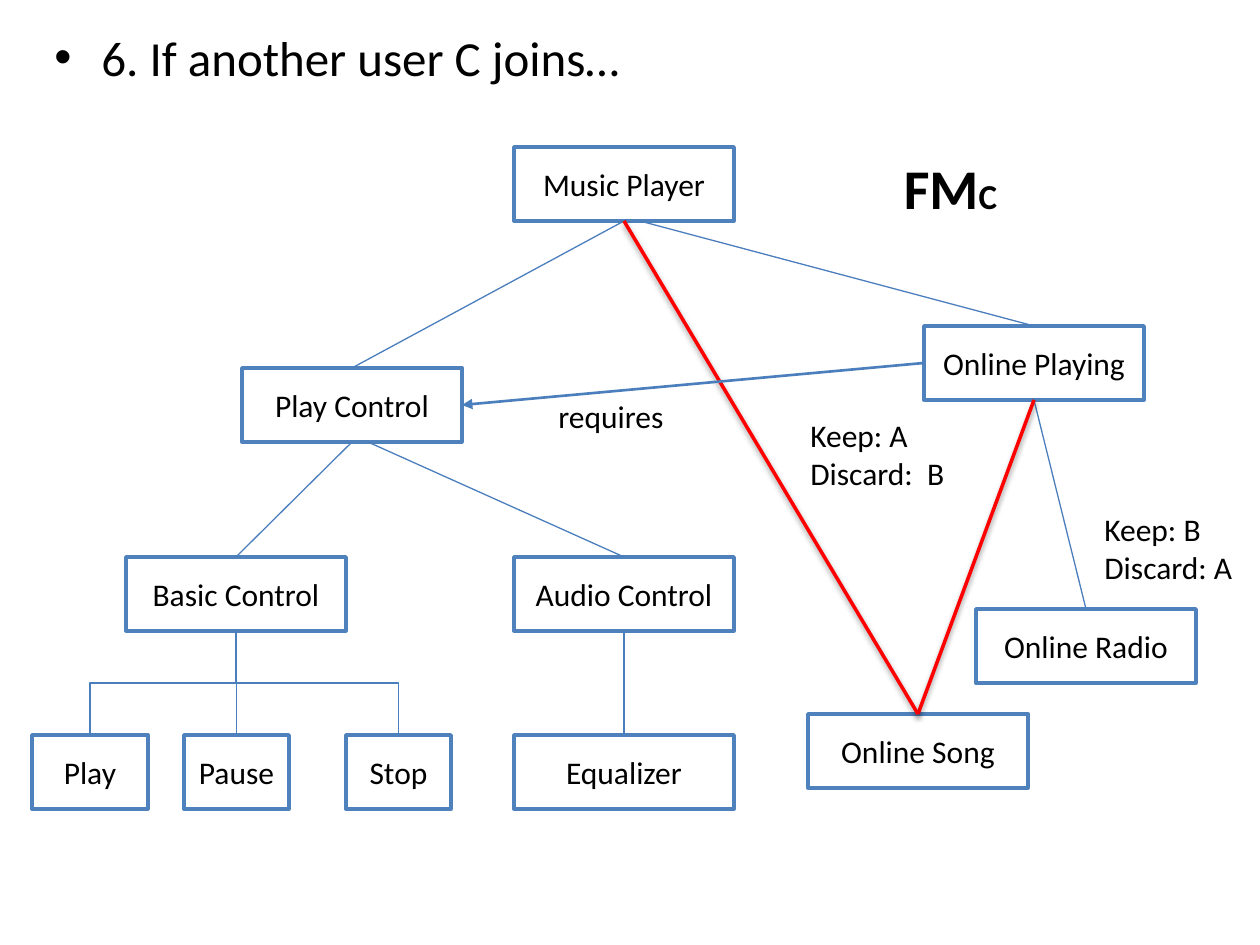
from lxml import etree
from pptx import Presentation
from pptx.dml.color import RGBColor
from pptx.enum.shapes import MSO_CONNECTOR, MSO_SHAPE
from pptx.enum.text import MSO_ANCHOR, PP_ALIGN
from pptx.oxml import parse_xml
from pptx.oxml.ns import nsdecls, qn
from pptx.util import Pt

PX = 914400 / 126
FONT = "Calibri"
BLACK, WHITE, BORDER, LINE, RED = "000000", "FFFFFF", "4F81BD", "4B7EBC", "FF0000"
BOX_W, BOX_H = 220, 74
TOP, LEFT, BOTTOM, RIGHT = range(4)  # connection sites of a rectangle

# name: left, top, width
FEATURES = {
    "Music Player": (514, 147, BOX_W),
    "Play Control": (242, 368, BOX_W),
    "Online Playing": (924, 326, BOX_W),
    "Basic Control": (126, 557, BOX_W),
    "Audio Control": (514, 557, BOX_W),
    "Online Radio": (976, 609, BOX_W),
    "Online Song": (808, 714, BOX_W),
    "Play": (32, 735, 116),
    "Pause": (184, 735, 105),
    "Stop": (346, 735, 105),
    "Equalizer": (514, 735, BOX_W),
}
# parent, child, shift of the start to the right
BRANCHES = [
    ("Music Player", "Play Control", 0),
    ("Music Player", "Online Playing", 16),
    ("Play Control", "Basic Control", 0),
    ("Play Control", "Audio Control", 16),
    ("Audio Control", "Equalizer", 0),
    ("Online Playing", "Online Radio", 0),
]
ELBOWS = [("Basic Control", leaf) for leaf in ("Play", "Pause", "Stop")]
CONFLICTS = [("Online Playing", "Online Song"), ("Music Player", "Online Song")]

# left, top, width, height, wrap, paragraphs of (text, size, bold) runs
TITLE = (42, 21, 1166, 179, True, [[("6. If another user C joins…", 28, False)]])
LABELS = [
    (882, 147, 325, 81, True, [[(" ", 24, True), ("FM", 32, True), ("C", 20, True)]]),
    (546, 391, 132, 50, False, [[("requires", 18, False)]]),
    (798, 410, 189, 89, True, [[("Keep: A", 18, False)], [("Discard:  B", 18, False)]]),
    (1092, 504, 168, 89, True, [[("Keep: B", 18, False)], [("Discard: A", 18, False)]]),
]


def emu(px):
    return round(px * PX)


def rgb(color):
    return RGBColor.from_string(color)


def style_run(r, size, bold=False):
    r.font.name, r.font.size, r.font.bold = FONT, Pt(size), bold
    r.font.color.rgb = rgb(BLACK)


def add_text(left, top, width, height, wrap, paragraphs):
    tf = slide.shapes.add_textbox(*map(emu, (left, top, width, height))).text_frame
    tf.word_wrap = wrap
    for i, runs in enumerate(paragraphs):
        p = tf.add_paragraph() if i else tf.paragraphs[0]
        for text, size, bold in runs:
            r = p.add_run()
            r.text = text
            style_run(r, size, bold)
    return tf


def add_bullet(p, indent):
    pPr = p._p.get_or_add_pPr()
    pPr.set("marL", str(emu(indent)))
    pPr.set("indent", str(-emu(indent)))
    before = etree.SubElement(pPr, qn("a:spcBef"))
    etree.SubElement(before, qn("a:spcPct"), val="20000")
    etree.SubElement(pPr, qn("a:buFont"), typeface="Arial")
    etree.SubElement(pPr, qn("a:buChar"), char="•")


def add_box(name, left, top, width):
    sp = slide.shapes.add_shape(MSO_SHAPE.RECTANGLE, *map(emu, (left, top, width, BOX_H)))
    sp.shadow.inherit = False
    sp.fill.solid()
    sp.fill.fore_color.rgb = rgb(WHITE)
    sp.line.color.rgb = rgb(BORDER)
    sp.line.width = Pt(2)
    tf = sp.text_frame
    tf.text = name
    tf.vertical_anchor = MSO_ANCHOR.MIDDLE
    tf.paragraphs[0].alignment = PP_ALIGN.CENTER
    style_run(tf.paragraphs[0].runs[0], 18)
    return sp


def add_line(kind, x1, y1, x2, y2, color=LINE, weight=0.75, arrow=False, shadow=""):
    c = slide.shapes.add_connector(kind, x1, y1, x2, y2)
    c.line.color.rgb = rgb(color)
    c.line.width = Pt(weight)
    if arrow:
        etree.SubElement(c.line._get_or_add_ln(), qn("a:tailEnd"), type="triangle")
    c._element.spPr.append(parse_xml(f"<a:effectLst {nsdecls('a')}>{shadow}</a:effectLst>"))
    return c


def bottom_of(sp):
    return sp.left + sp.width // 2, sp.top + sp.height


def top_of(sp):
    return sp.left + sp.width // 2, sp.top


def link(start, end, sites=(BOTTOM, TOP), **style):
    """Straight connector glued to both boxes."""
    c = add_line(MSO_CONNECTOR.STRAIGHT, 0, 0, 0, 0, **style)
    c.begin_connect(start, sites[0])
    c.end_connect(end, sites[1])


def elbow(start, end):
    """Down, across, down: a horizontal elbow turned by a quarter."""
    (x1, y1), (x2, y2) = bottom_of(start), top_of(end)
    cx, cy = (x1 + x2) // 2, (y1 + y2) // 2
    half_w, half_h = (y2 - y1) // 2, abs(x2 - x1) // 2
    c = add_line(MSO_CONNECTOR.ELBOW, cx - half_w, cy - half_h, cx + half_w, cy + half_h)
    xfrm = c._element.spPr.find(qn("a:xfrm"))
    if x2 > x1:
        xfrm.set("flipH", "1")
    xfrm.set("rot", str((270 if x2 > x1 else 90) * 60000))


SHADOW = ('<a:outerShdw blurRad="40000" dist="20000" dir="5400000" rotWithShape="0">'
          f'<a:srgbClr val="{BLACK}"><a:alpha val="38000"/></a:srgbClr></a:outerShdw>')

prs = Presentation()
prs.slide_width, prs.slide_height = emu(1260), emu(945)
slide = prs.slides.add_slide(prs.slide_layouts[6])

add_bullet(add_text(*TITLE).paragraphs[0], 47)
boxes = {name: add_box(name, *place) for name, place in FEATURES.items()}

for parent, child, shift in BRANCHES:
    if shift:
        x, y = bottom_of(boxes[parent])
        c = add_line(MSO_CONNECTOR.STRAIGHT, x + emu(shift), y, *top_of(boxes[child]))
        c.end_connect(boxes[child], TOP)
    else:
        link(boxes[parent], boxes[child])
for parent, child in ELBOWS:
    elbow(boxes[parent], boxes[child])
for parent, child in CONFLICTS:
    link(boxes[parent], boxes[child], color=RED, weight=2, shadow=SHADOW)
link(boxes["Online Playing"], boxes["Play Control"], (LEFT, RIGHT), weight=1.5, arrow=True)

for label in LABELS:
    add_text(*label)

prs.save("out.pptx")
